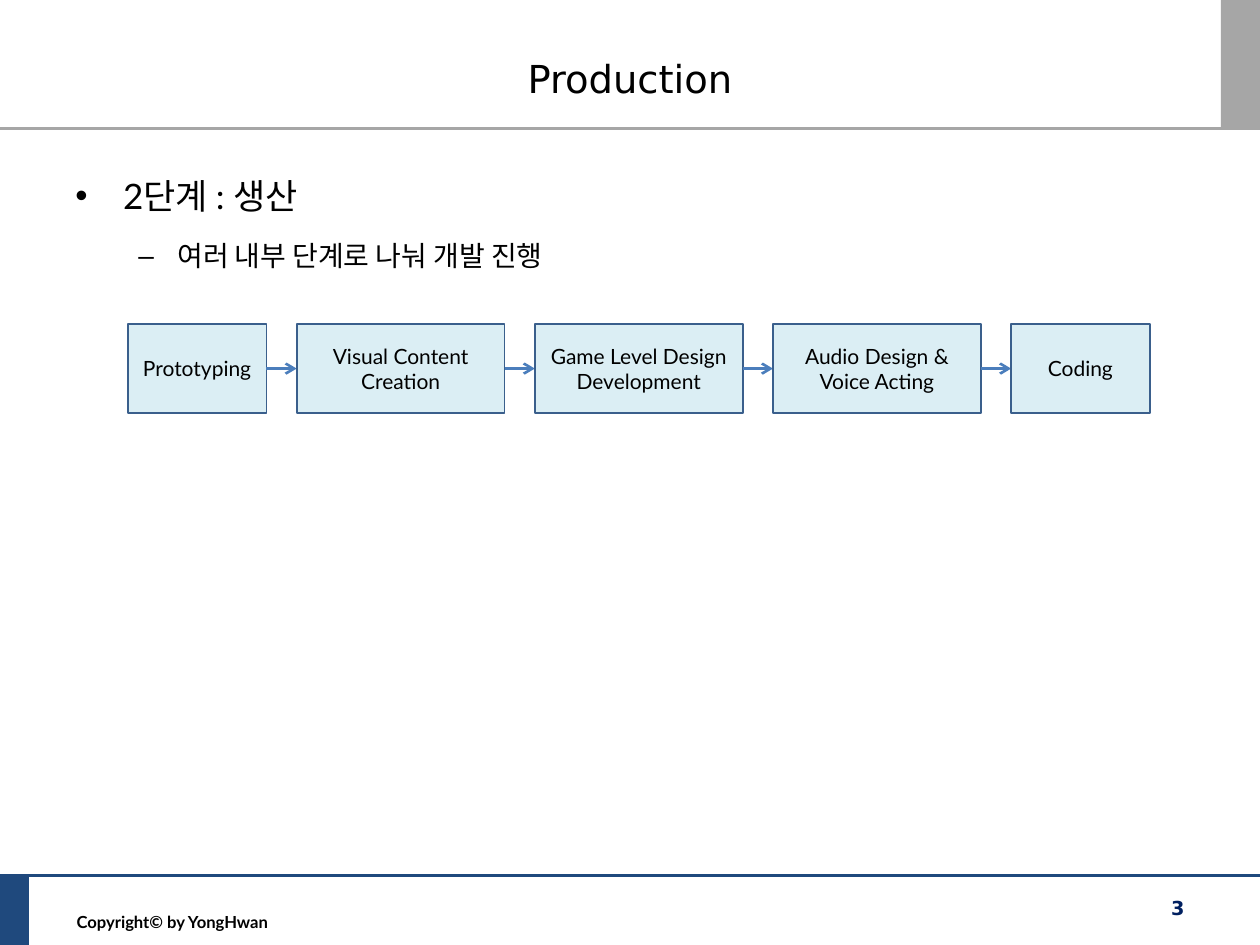
from lxml.etree import SubElement
from pptx import Presentation
from pptx.dml.color import RGBColor
from pptx.enum.shapes import MSO_CONNECTOR, MSO_SHAPE
from pptx.enum.text import MSO_ANCHOR, PP_ALIGN
from pptx.oxml.ns import qn
from pptx.util import Inches, Pt

COLORS = {
    "black": "000000", "navy": "1F497D", "gray": "A6A6A6", "number": "002060",
    "step": "DBEEF4", "edge": "3A5F8C", "arrow": "4B7EBC",
}

deck = Presentation()
deck.slide_width, deck.slide_height = Inches(10), Inches(7.5)
COL, ROW = deck.slide_width / 100, deck.slide_height / 100
slide = deck.slides.add_slide(deck.slide_layouts[6])
shapes = slide.shapes


def write(frame, lines, font, color="black", align=PP_ALIGN.LEFT, anchor=MSO_ANCHOR.TOP):
    frame.word_wrap = True
    frame.vertical_anchor = anchor
    for index, line in enumerate(lines):
        paragraph = frame.paragraphs[0] if index == 0 else frame.add_paragraph()
        paragraph.alignment = align
        run = paragraph.add_run()
        run.text = line
        run.font.color.rgb = RGBColor.from_string(COLORS[color])
        for key, value in font.items():
            setattr(run.font, key, value)


def draw_line(x1, y1, x2, y2, color, weight):
    line = shapes.add_connector(
        MSO_CONNECTOR.STRAIGHT, int(x1 * COL), int(y1 * ROW), int(x2 * COL), int(y2 * ROW))
    line.line.color.rgb = RGBColor.from_string(COLORS[color])
    line.line.width = Pt(weight)
    SubElement(line._element.spPr, qn("a:effectLst"))
    return line


HEADER, FOOTER = 13.6, 92.67
draw_line(0, FOOTER, 100, FOOTER, "navy", 2)
draw_line(0, HEADER, 100, HEADER, "gray", 2)
for x, y, w, h, color in [(0, FOOTER, 2.3, 100 - FOOTER, "navy"), (96.9, 0, 3.1, HEADER, "gray")]:
    corner = shapes.add_shape(
        MSO_SHAPE.RECTANGLE, int(x * COL), int(y * ROW), int(w * COL), int(h * ROW))
    corner.shadow.inherit = False
    corner.fill.solid()
    corner.fill.fore_color.rgb = RGBColor.from_string(COLORS[color])
    corner.line.fill.background()

texts = [
    (5.1, 95.87, 19.5, 3.47, "Copyright© by YongHwan",
     {"name": "Lato", "size": Pt(9.5), "bold": True}, "black", PP_ALIGN.LEFT, MSO_ANCHOR.TOP),
    (5, 4, 90, 8.53, "Production",
     {"name": "DejaVu Sans", "size": Pt(22)}, "black", PP_ALIGN.CENTER, MSO_ANCHOR.MIDDLE),
    (71.7, 94.13, 23.3, 3.87, "3",
     {"name": "DejaVu Sans", "size": Pt(11), "bold": True}, "number", PP_ALIGN.RIGHT, MSO_ANCHOR.MIDDLE),
]
for x, y, w, h, text, font, color, align, anchor in texts:
    label = shapes.add_textbox(int(x * COL), int(y * ROW), int(w * COL), int(h * ROW))
    write(label.text_frame, [text], font, color, align, anchor)

body = shapes.add_textbox(int(5 * COL), int(15.6 * ROW), int(90 * COL), int(73.73 * ROW)).text_frame
write(body, ["2단계 : 생산", "여러 내부 단계로 나눠 개발 진행"], {"name": "Lato"})
outline = [(20, 3.8, 3.8, "•"), (16, 8.1, 3.1, "–")]
for level, (paragraph, (size, margin, hang, bullet)) in enumerate(zip(body.paragraphs, outline)):
    paragraph.level = level
    paragraph.line_spacing = 1.5
    paragraph.space_before = Pt(size * 0.2)
    paragraph.runs[0].font.size = Pt(size)
    properties = paragraph._p.get_or_add_pPr()
    properties.set("marL", str(int(margin * COL)))
    properties.set("indent", str(int(-hang * COL)))
    SubElement(properties, qn("a:buFont"), typeface="Arial")
    SubElement(properties, qn("a:buChar"), char=bullet)

steps = [
    (11, ["Prototyping"]),
    (16.5, ["Visual Content", "Creation"]),
    (16.5, ["Game Level Design", "Development"]),
    (16.5, ["Audio Design &", "Voice Acting"]),
    (11, ["Coding"]),
]
STEP_TOP, STEP_HEIGHT, GAP = 34.27, 9.47, 2.4
left = 10.15
for index, (width, lines) in enumerate(steps):
    step = shapes.add_shape(
        MSO_SHAPE.RECTANGLE, int(left * COL), int(STEP_TOP * ROW),
        int(width * COL), int(STEP_HEIGHT * ROW))
    step.shadow.inherit = False
    step.fill.solid()
    step.fill.fore_color.rgb = RGBColor.from_string(COLORS["step"])
    step.line.color.rgb = RGBColor.from_string(COLORS["edge"])
    step.line.width = Pt(1)
    write(step.text_frame, lines, {"name": "Lato", "size": Pt(12)},
          align=PP_ALIGN.CENTER, anchor=MSO_ANCHOR.MIDDLE)
    left += width + GAP
    if index < len(steps) - 1:
        middle = STEP_TOP + STEP_HEIGHT / 2
        arrow = draw_line(left - GAP, middle, left, middle, "arrow", 1.5)
        SubElement(arrow.line._get_or_add_ln(), qn("a:tailEnd"), type="arrow")

deck.save("out.pptx")
